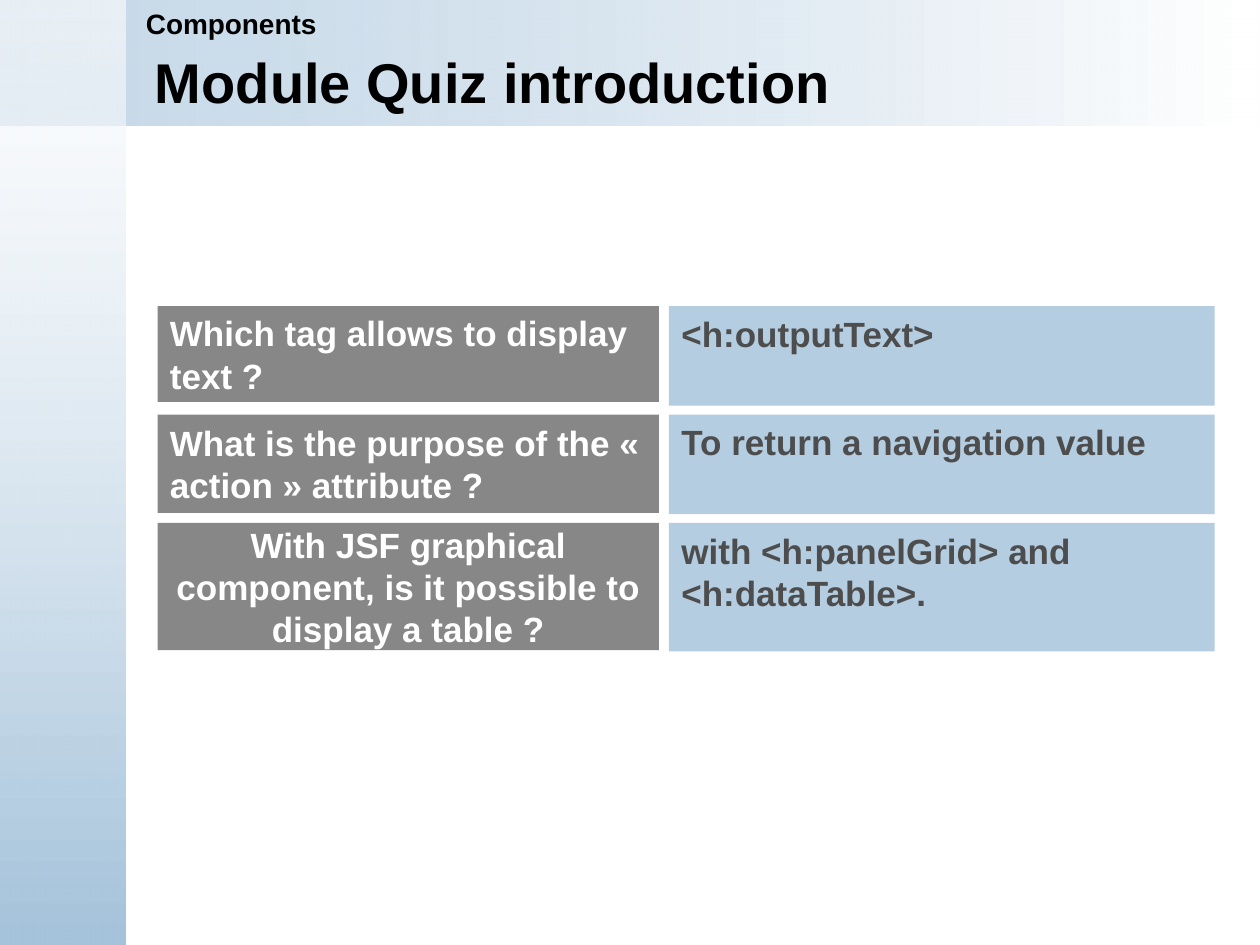
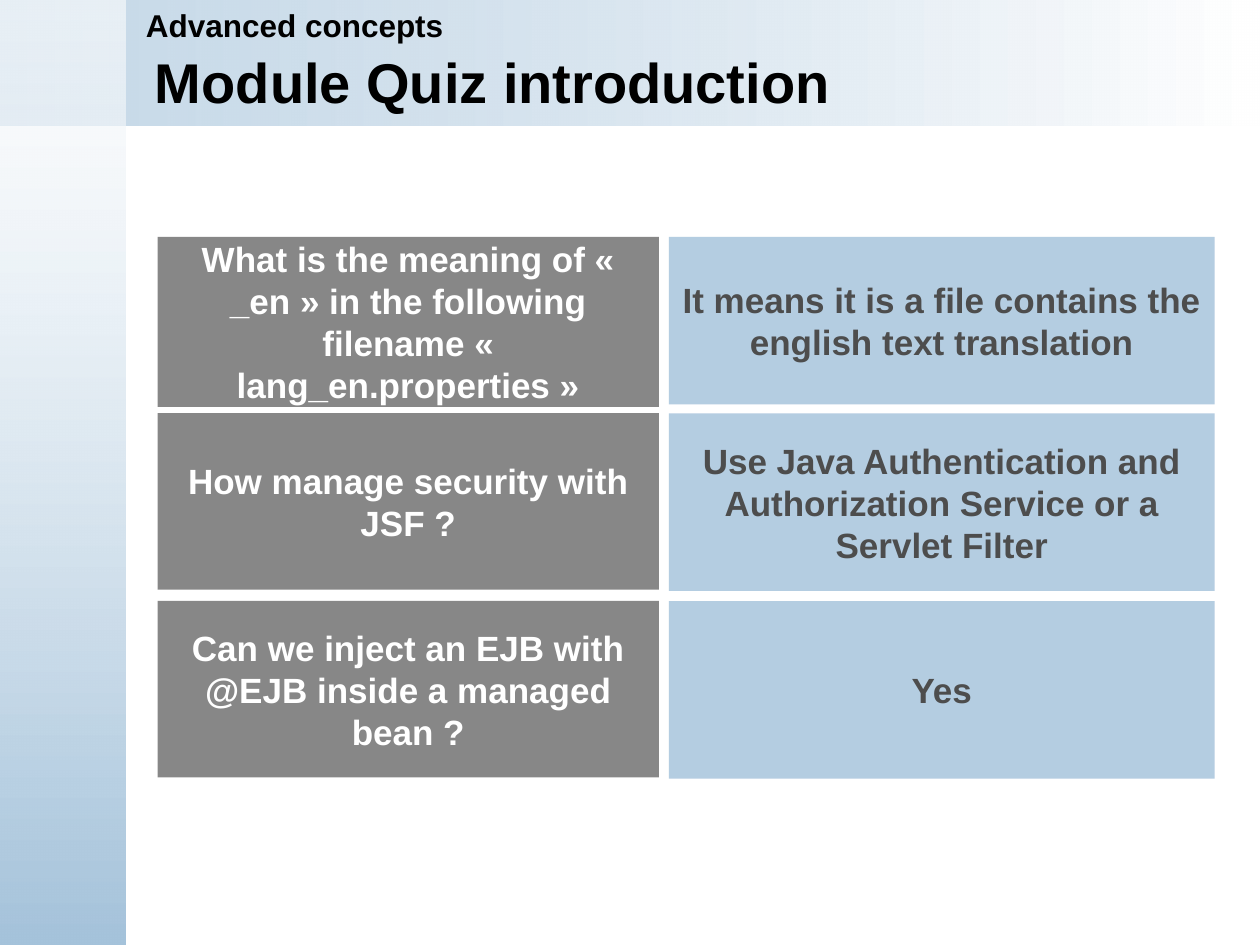
from lxml import etree
from pptx import Presentation, util as u
from pptx.dml.color import RGBColor
from pptx.enum import shapes, text
from pptx.oxml.ns import qn

LEFT, CENTER = text.PP_ALIGN.LEFT, text.PP_ALIGN.CENTER
TOP, MIDDLE = text.MSO_ANCHOR.TOP, text.MSO_ANCHOR.MIDDLE

# Content: each row is (top, question, answer);
# each box is (height, alignment, anchor, wording)
QUIZZES = [
    {
        "module": "Components", "module_size": 16, "module_height": 0.37,
        "rows": [
            (2.43, (0.76, LEFT, MIDDLE, "Which tag allows to display text ?"),
             (0.79, LEFT, TOP, "<h:outputText>")),
            (3.29, (0.78, LEFT, MIDDLE,
                    "What is the purpose of the « action » attribute ?"),
             (0.79, LEFT, TOP, "To return a navigation value")),
            (4.15, (1.01, CENTER, MIDDLE,
                    "With JSF graphical component, is it possible to display a table ?"),
             (1.02, LEFT, TOP, "with <h:panelGrid> and <h:dataTable>.")),
        ],
    },
    {
        "module": "Advanced concepts", "module_size": 18, "module_height": 0.4,
        "rows": [
            (1.88, (1.35, CENTER, MIDDLE,
                    "What is the meaning of « _en » in the following filename "
                    "« lang_en.properties »"),
             (1.33, CENTER, MIDDLE,
              "It means it is a file contains the english text translation")),
            (3.28, (1.4, CENTER, MIDDLE, "How manage security with JSF ?"),
             (1.41, CENTER, MIDDLE,
              "Use Java Authentication and Authorization Service or a Servlet Filter")),
            (4.77, (1.4, CENTER, MIDDLE,
                    "Can we inject an EJB with @EJB inside a managed bean ?"),
             (1.41, CENTER, MIDDLE, "Yes")),
        ],
    },
]
TITLE = "Module Quiz introduction"

# Theme and grid, in inches
THEME = {
    "font": "Arial", "black": "000000", "white": "FFFFFF",
    "gray": "4D4D4D", "blue": "A5C3DB", "title_size": 32, "box_size": 20,
}
WIDTH, HEIGHT, BAND = 10, 7.5, 1
COLUMNS = [  # left, width, fill, opacity, text colour
    (1.25, 3.98, "gray", 67, "white"),
    (5.31, 4.33, "blue", 83, "gray"),
]
BANDS = [  # box, angle, (colour, opacity) at each end
    ((0, 0, WIDTH, BAND), 0, (("blue", 62), ("white", 100))),
    ((0, 0, BAND, HEIGHT), 270, (("white", 59), ("blue", 100))),
]


def color(name):
    return RGBColor.from_string(THEME[name])


def inches(box):
    return [u.Inches(length) for length in box]


def set_opacity(fill_element, percents):
    for node, percent in zip(fill_element.iter(qn("a:srgbClr")), percents):
        if percent < 100:
            etree.SubElement(node, qn("a:alpha"), val=str(percent * 1000))


def write(shape, wording, size, color_name, alignment=LEFT, anchor=MIDDLE):
    frame = shape.text_frame
    frame.word_wrap = True
    frame.vertical_anchor = anchor
    paragraph = frame.paragraphs[0]
    paragraph.alignment = alignment
    run = paragraph.add_run()
    run.text = wording
    for name, value in {"name": THEME["font"], "size": u.Pt(size), "bold": True}.items():
        setattr(run.font, name, value)
    run.font.color.rgb = color(color_name)


def add_rectangle(slide, box):
    shape = slide.shapes.add_shape(shapes.MSO_SHAPE.RECTANGLE, *inches(box))
    shape.shadow.inherit = False
    shape.line.fill.background()
    return shape


def add_bands(slide, layout):
    """Draw the gradient bands, then move them to the back of the shared layout."""
    for depth, (box, angle, ends) in enumerate(BANDS):
        band = add_rectangle(slide, box)
        band.fill.gradient()
        band.fill.gradient_angle = angle
        for stop, (name, _) in zip(band.fill.gradient_stops, ends):
            stop.color.rgb = color(name)
        gradient = band._element.spPr.find(qn("a:gradFill"))
        set_opacity(gradient, [opacity for _, opacity in ends])
        layout.shapes._spTree.insert(2 + depth, band._element)


def add_box(slide, top, column, box):
    left, width, fill, opacity, text_color = column
    height, alignment, anchor, wording = box
    shape = add_rectangle(slide, (left, top, width, height))
    shape.fill.solid()
    shape.fill.fore_color.rgb = color(fill)
    set_opacity(shape._element.spPr.find(qn("a:solidFill")), [opacity])
    write(shape, wording, THEME["box_size"], text_color, alignment, anchor)


def add_quiz(presentation, layout, quiz):
    slide = presentation.slides.add_slide(layout)
    write(slide.shapes.title, TITLE, THEME["title_size"], "black")
    for top, *boxes in quiz["rows"]:
        for column, box in zip(COLUMNS, boxes):
            add_box(slide, top, column, box)
    module = slide.shapes.add_textbox(*inches((1.06, 0, 8.94, quiz["module_height"])))
    write(module, quiz["module"], quiz["module_size"], "black", anchor=TOP)
    return slide


def main():
    presentation = Presentation()
    presentation.slide_width, presentation.slide_height = inches((WIDTH, HEIGHT))

    # Shared layout: title place
    layout = presentation.slide_layouts.get_by_name("Title Only")
    title = layout.placeholders[0]
    title.left, title.top, title.width, title.height = inches((1.13, 0.36, 8.45, 0.57))

    # Slides, then the bands behind them all
    slides = [add_quiz(presentation, layout, quiz) for quiz in QUIZZES]
    add_bands(slides[0], layout)
    presentation.save("out.pptx")


if __name__ == "__main__":
    main()
